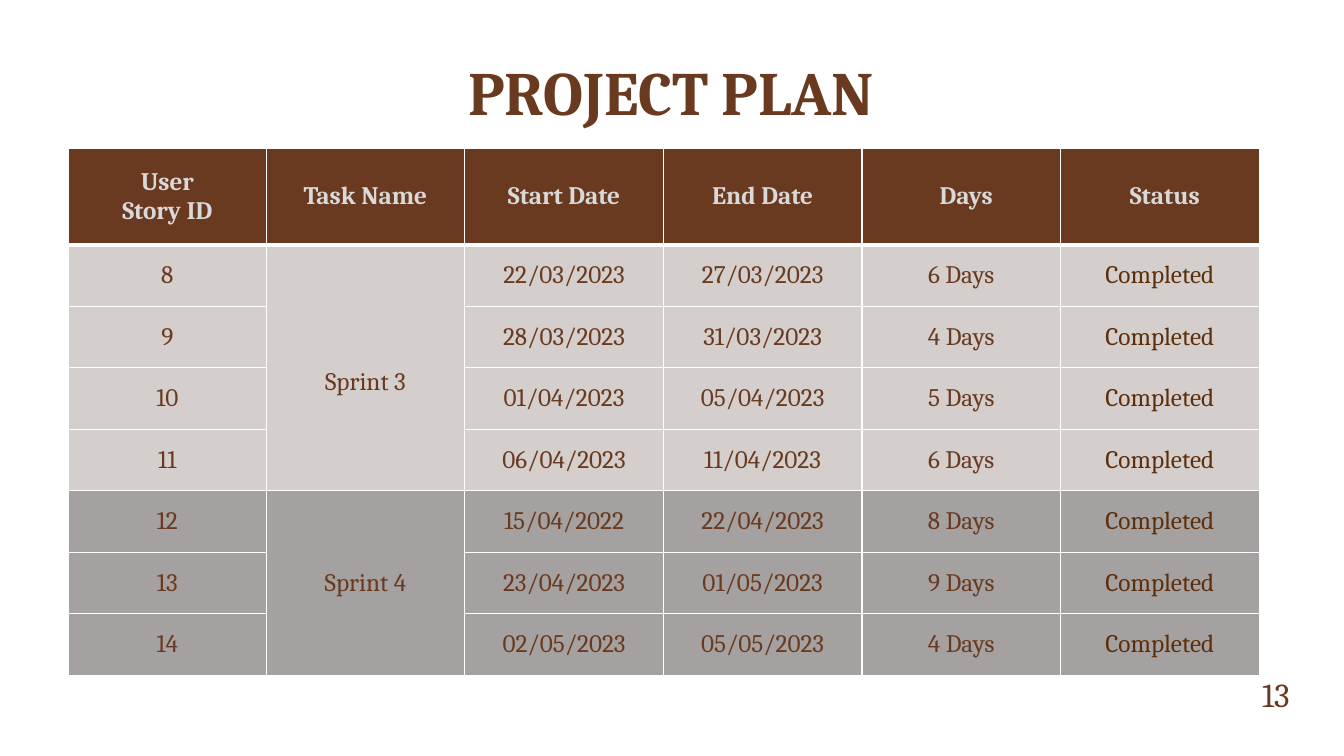
from pptx import Presentation
from pptx.dml.color import RGBColor
from pptx.enum.text import MSO_ANCHOR, PP_ALIGN
from pptx.oxml import parse_xml
from pptx.oxml.ns import nsdecls
from pptx.util import Inches, Pt

CENTER, RIGHT = PP_ALIGN.CENTER, PP_ALIGN.RIGHT
MIDDLE, BOTTOM = MSO_ANCHOR.MIDDLE, MSO_ANCHOR.BOTTOM
TITLE_ONLY = 5

BROWN, DARK_BROWN = "6A3A20", "5C2F0A"
HEADER_TEXT, WHITE = "D9D9D9", "FFFFFF"
HEADERS = ["User\nStory ID", "Task Name", "Start Date", "End Date", "Days", "Status"]
SPRINTS = [
    ("Sprint 3", "D4CECC", [
        ("8", "22/03/2023", "27/03/2023", "6 Days"),
        ("9", "28/03/2023", "31/03/2023", "4 Days"),
        ("10", "01/04/2023", "05/04/2023", "5 Days"),
        ("11", "06/04/2023", "11/04/2023", "6 Days"),
    ]),
    ("Sprint 4", "A4A1A0", [
        ("12", "15/04/2022", "22/04/2023", "8 Days"),
        ("13", "23/04/2023", "01/05/2023", "9 Days"),
        ("14", "02/05/2023", "05/05/2023", "4 Days"),
    ]),
]


def color(hex_string):
    return RGBColor.from_string(hex_string)


class PlanSlide:
    """Holds the text style and the slide being built."""

    font = "Cambria"

    def __init__(self, presentation):
        self.slide = presentation.slides.add_slide(presentation.slide_layouts[TITLE_ONLY])

    def add_text(self, frame, text, size, text_color=BROWN, bold=False, align=CENTER):
        """Add each line of the text as a paragraph of one run."""
        for index, line in enumerate(text.split("\n")):
            paragraph = frame.add_paragraph() if index else frame.paragraphs[0]
            paragraph.alignment = align
            run = paragraph.add_run()
            run.text = line
            run.font.name = self.font
            run.font.size = Pt(size)
            run.font.bold = bold
            run.font.color.rgb = color(text_color)

    def title(self, text, left, top, width, height):
        title = self.slide.shapes.title
        title.left, title.top = Inches(left), Inches(top)
        title.width, title.height = Inches(width), Inches(height)
        title.text_frame.vertical_anchor = BOTTOM
        self.add_text(title.text_frame, text, 44, bold=True)

    def page_number(self, text, left, top, width, height):
        box = self.slide.shapes.add_textbox(
            Inches(left), Inches(top), Inches(width), Inches(height))
        box.text_frame.word_wrap = True
        box.text_frame.vertical_anchor = MIDDLE
        self.add_text(box.text_frame, text, 24, align=RIGHT)

    def table(self, left, top, column_widths, row_heights):
        frame = self.slide.shapes.add_table(
            len(row_heights), len(column_widths), Inches(left), Inches(top),
            Inches(sum(column_widths)), Inches(sum(row_heights)))
        table = frame.table
        for column, width in zip(table.columns, column_widths):
            column.width = Inches(width)
        for row, height in zip(table.rows, row_heights):
            row.height = Inches(height)
        return table

    def cell(self, cell, fill, top_line=1, bottom_line=1):
        """Give the cell its fill, white borders and middle anchor."""
        properties = cell._tc.get_or_add_tcPr()
        for side, width in (("L", 1), ("R", 1), ("T", top_line), ("B", bottom_line)):
            properties.append(parse_xml(
                f'<a:ln{side} {nsdecls("a")} w="{Pt(width)}"><a:solidFill>'
                f'<a:srgbClr val="{WHITE}"/></a:solidFill></a:ln{side}>'))
        cell.fill.solid()
        cell.fill.fore_color.rgb = color(fill)
        cell.vertical_anchor = MIDDLE

    def header_row(self, table):
        for column, text in enumerate(HEADERS):
            cell = table.cell(0, column)
            self.cell(cell, BROWN, bottom_line=3)
            cell.margin_top = cell.margin_bottom = cell.margin_right = Inches(0.1)
            cell.margin_left = Inches(0.2 if text in ("Days", "Status") else 0.1)
            self.add_text(cell.text_frame, text, 18, HEADER_TEXT, bold=True)

    def sprint_rows(self, table, first_row, name, fill, stories):
        for row, (story, start, end, days) in enumerate(stories, first_row):
            task = name if row == first_row else ""
            for column, text in enumerate((story, task, start, end, days, "Completed")):
                cell = table.cell(row, column)
                self.cell(cell, fill, top_line=3 if row == 1 else 1)
                if text:
                    text_color = DARK_BROWN if text == "Completed" else BROWN
                    self.add_text(cell.text_frame, text, 18, text_color)
        last_row = first_row + len(stories) - 1
        table.cell(first_row, 1).merge(table.cell(last_row, 1))


def main():
    presentation = Presentation()
    presentation.slide_width, presentation.slide_height = Inches(13.33), Inches(7.5)

    plan = PlanSlide(presentation)
    plan.title("PROJECT PLAN", 1.33, 0.25, 10.66, 1.07)

    story_count = sum(len(stories) for _, _, stories in SPRINTS)
    table = plan.table(0.68, 1.47, [1.96] + [1.97] * 5, [0.96] + [0.61] * story_count)
    plan.header_row(table)
    first_row = 1
    for name, fill, stories in SPRINTS:
        plan.sprint_rows(table, first_row, name, fill, stories)
        first_row += len(stories)
    # The first sprint's name sits slightly below the middle of its cell.
    table.cell(1, 1).margin_top = Inches(0.34)

    plan.page_number("13", 12.11, 6.72, 0.78, 0.33)
    presentation.save("out.pptx")


if __name__ == "__main__":
    main()
